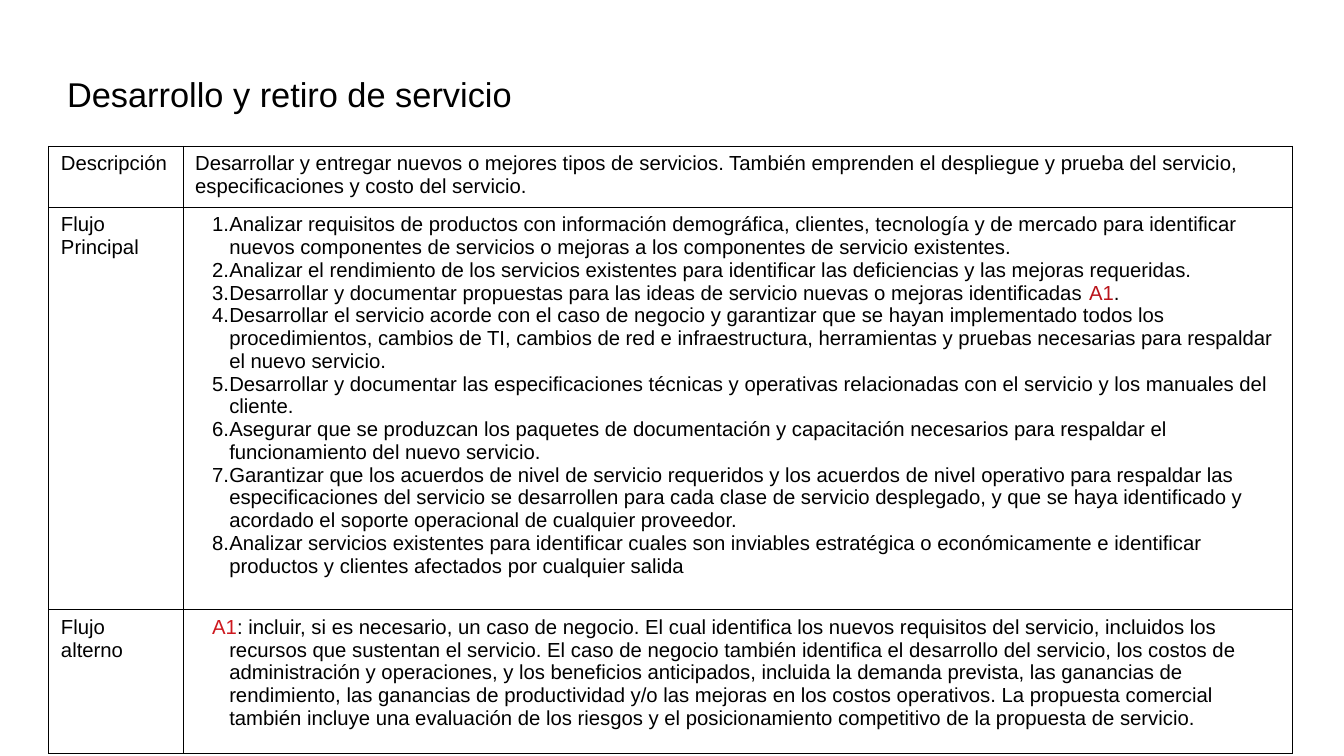
from lxml.etree import SubElement
from pptx import Presentation
from pptx.dml.color import RGBColor
from pptx.enum.text import MSO_ANCHOR
from pptx.oxml.ns import qn
from pptx.util import Inches, Pt

BLACK = "000000"
TITLE = "Desarrollo y retiro de servicio"
DESCRIPTION = "Desarrollar y entregar nuevos o mejores tipos de servicios. También emprenden el despliegue y prueba del servicio, especificaciones y costo del servicio."
MAIN_FLOW = [
    "Analizar requisitos de productos con información demográfica, clientes, tecnología y de mercado para identificar nuevos componentes de servicios o mejoras a los componentes de servicio existentes.",
    "Analizar el rendimiento de los servicios existentes para identificar las deficiencias y las mejoras requeridas.",
    [("Desarrollar y documentar propuestas para las ideas de servicio nuevas o mejoras identificadas ", BLACK), ("A1", "BA131A"), (".", BLACK)],
    "Desarrollar el servicio acorde con el caso de negocio y garantizar que se hayan implementado todos los procedimientos, cambios de TI, cambios de red e infraestructura, herramientas y pruebas necesarias para respaldar el nuevo servicio.",
    "Desarrollar y documentar las especificaciones técnicas y operativas relacionadas con el servicio y los manuales del cliente.",
    "Asegurar que se produzcan los paquetes de documentación y capacitación necesarios para respaldar el funcionamiento del nuevo servicio.",
    "Garantizar que los acuerdos de nivel de servicio requeridos y los acuerdos de nivel operativo para respaldar las especificaciones del servicio se desarrollen para cada clase de servicio desplegado, y que se haya identificado y acordado el soporte operacional de cualquier proveedor.",
    "Analizar servicios existentes para identificar cuales son inviables estratégica o económicamente e identificar productos y clientes afectados por cualquier salida",
]
ALTERNATE_FLOW = [
    [("A1", "CE181E"), (": incluir, si es necesario, un caso de negocio. El cual identifica los nuevos requisitos del servicio, incluidos los recursos que sustentan el servicio. El caso de negocio también identifica el desarrollo del servicio, los costos de administración y operaciones, y los beneficios anticipados, incluida la demanda prevista, las ganancias de rendimiento, las ganancias de productividad y/o las mejoras en los costos operativos. La propuesta comercial también incluye una evaluación de los riesgos y el posicionamiento competitivo de la propuesta de servicio.", BLACK)],
]
ROWS = [
    ("Descripción", [DESCRIPTION], {}),
    ("Flujo Principal", MAIN_FLOW, {"indent": 0.28, "numbered": True}),
    ("Flujo alterno", ALTERNATE_FLOW, {"indent": 0.28}),
]
COLUMN_WIDTHS = [1.1, 9.1]
ROW_HEIGHTS = [0.5, 3.3, 1.18]


def color(value):
    return RGBColor.from_string(value)


def write(frame, paragraphs, size=12, indent=0, numbered=False):
    """Fill a text frame with strings or lists of (text, colour) spans."""
    frame.word_wrap = True
    for index, content in enumerate(paragraphs):
        para = frame.add_paragraph() if index else frame.paragraphs[0]
        properties = para._p.get_or_add_pPr()
        if indent:
            properties.set("marL", str(Inches(indent)))
            properties.set("indent", str(-Inches(indent / 2)))
        if numbered:
            bullet_color = SubElement(properties, qn("a:buClr"))
            SubElement(bullet_color, qn("a:srgbClr"), val=BLACK)
            SubElement(properties, qn("a:buAutoNum"), type="arabicPeriod")
        spans = [(content, BLACK)] if isinstance(content, str) else content
        for text, shade in spans:
            span = para.add_run()
            span.text = text
            span.font.name = "Arial"
            span.font.size = Pt(size)
            span.font.color.rgb = color(shade)


def style_cell(cell):
    """Give a cell thin black borders and no fill."""
    properties = cell._tc.get_or_add_tcPr()
    for side in ("lnL", "lnR", "lnT", "lnB"):
        line = SubElement(properties, qn(f"a:{side}"), w=str(Pt(0.57)))
        fill = SubElement(line, qn("a:solidFill"))
        SubElement(fill, qn("a:srgbClr"), val=BLACK)
    cell.fill.background()


def main():
    deck = Presentation()
    deck.slide_width, deck.slide_height = Inches(11.02), Inches(6.2)
    page = deck.slides.add_slide(deck.slide_layouts[6])

    box = page.shapes.add_textbox(Inches(0.55), Inches(0.47), Inches(7.87), Inches(0.59))
    frame = box.text_frame
    frame.margin_left = frame.margin_right = frame.margin_top = frame.margin_bottom = 0
    frame.vertical_anchor = MSO_ANCHOR.MIDDLE
    write(frame, [TITLE], size=20.3)

    table = page.shapes.add_table(
        len(ROWS), len(COLUMN_WIDTHS), Inches(0.4), Inches(1.2),
        Inches(sum(COLUMN_WIDTHS)), Inches(sum(ROW_HEIGHTS))).table
    table.first_row = table.horz_banding = False
    for column, width in zip(table.columns, COLUMN_WIDTHS):
        column.width = Inches(width)
    for row, height, (label, paragraphs, layout) in zip(table.rows, ROW_HEIGHTS, ROWS):
        row.height = Inches(height)
        heading, body = row.cells
        write(heading.text_frame, [label])
        write(body.text_frame, paragraphs, **layout)
        for cell in row.cells:
            style_cell(cell)

    deck.save("out.pptx")


if __name__ == "__main__":
    main()
